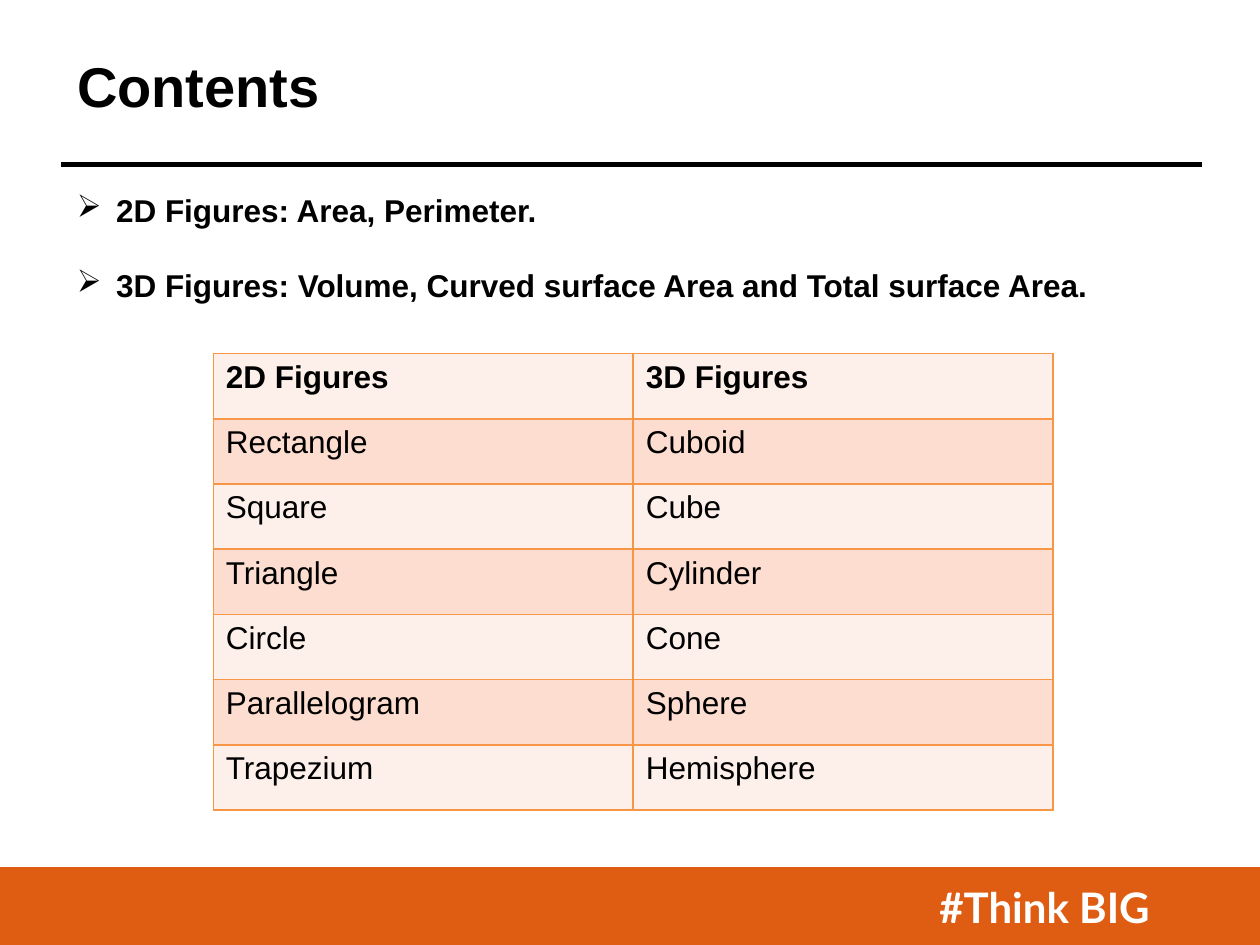
from dataclasses import dataclass

from lxml.etree import SubElement
from pptx import Presentation
from pptx.dml.color import RGBColor
from pptx.enum.shapes import MSO_CONNECTOR, MSO_SHAPE
from pptx.enum.text import MSO_ANCHOR, PP_ALIGN
from pptx.oxml.ns import qn
from pptx.util import Cm, Pt


@dataclass(frozen=True)
class Theme:
    black: str = "000000"
    white: str = "FFFFFF"
    orange: str = "DF5C13"
    border: str = "F79646"
    bands: tuple = ("FDEFE9", "FCDDCF")
    font: str = "Arial"
    footer_font: str = "Lato"
    title_size: int = 32
    footer_size: int = 24
    body_size: int = 18


def rgb(value):
    return RGBColor.from_string(value)


def write(p, text, size, font, color, bold=False, align=PP_ALIGN.LEFT):
    p.alignment = align
    r = p.add_run()
    r.text = text
    r.font.size = Pt(size)
    r.font.name = font
    r.font.bold = bold
    r.font.color.rgb = rgb(color)


class SlideBuilder:
    def __init__(self, prs, theme):
        self.theme = theme
        self.s = prs.slides.add_slide(prs.slide_layouts[5])

    def body(self, p, text, bold=False):
        t = self.theme
        write(p, text, t.body_size, t.font, t.black, bold)

    def title(self, text, x, y, w, h):
        t = self.theme
        sp = self.s.shapes.title
        sp.left, sp.top, sp.width, sp.height = Cm(x), Cm(y), Cm(w), Cm(h)
        tf = sp.text_frame
        tf.vertical_anchor = MSO_ANCHOR.TOP
        write(tf.paragraphs[0], text, t.title_size, t.font, t.black, bold=True)

    def rule(self, x1, x2, y, width):
        line = self.s.shapes.add_connector(
            MSO_CONNECTOR.STRAIGHT, Cm(x1), Cm(y), Cm(x2), Cm(y))
        line.line.color.rgb = rgb(self.theme.black)
        line.line.width = Pt(width)
        SubElement(line._element.spPr, qn("a:effectLst"))

    def footer(self, text, x, y, w, h, right):
        t = self.theme
        sp = self.s.shapes.add_shape(MSO_SHAPE.RECTANGLE, Cm(x), Cm(y), Cm(w), Cm(h))
        sp.shadow.inherit = False
        sp.fill.solid()
        sp.fill.fore_color.rgb = rgb(t.orange)
        sp.line.color.rgb = rgb(t.orange)
        sp.line.width = Pt(2)
        tf = sp.text_frame
        tf.vertical_anchor = MSO_ANCHOR.MIDDLE
        tf.margin_right = Cm(right)
        write(tf.paragraphs[0], text, t.footer_size, t.footer_font, t.white,
              bold=True, align=PP_ALIGN.RIGHT)

    def bullets(self, items, x, y, w, h, gap, indent=0.79):
        tf = self.s.shapes.add_textbox(Cm(x), Cm(y), Cm(w), Cm(h)).text_frame
        tf.word_wrap = True
        for i, text in enumerate(items):
            p = tf.add_paragraph() if i else tf.paragraphs[0]
            if i:
                p.space_before = Pt(gap)
            pPr = p._p.get_or_add_pPr()
            pPr.set("marL", str(Cm(indent)))
            pPr.set("indent", str(-Cm(indent)))
            SubElement(pPr, qn("a:buChar"), char="➢")
            self.body(p, text, bold=True)

    def borders(self, cell):
        tcPr = cell._tc.get_or_add_tcPr()
        for side in ("lnL", "lnR", "lnT", "lnB"):
            ln = SubElement(tcPr, qn(f"a:{side}"), w=str(Pt(1)))
            fill = SubElement(ln, qn("a:solidFill"))
            SubElement(fill, qn("a:srgbClr"), val=self.theme.border)

    def table(self, rows, x, y, w, h):
        bands = self.theme.bands
        table = self.s.shapes.add_table(
            len(rows), len(rows[0]), Cm(x), Cm(y), Cm(w), Cm(h)).table
        for i, row in enumerate(rows):
            for j, text in enumerate(row):
                cell = table.cell(i, j)
                self.borders(cell)
                cell.fill.solid()
                cell.fill.fore_color.rgb = rgb(bands[i % len(bands)])
                self.body(cell.text_frame.paragraphs[0], text, bold=i == 0)


def main():
    prs = Presentation()
    prs.slide_width, prs.slide_height = Cm(25.4), Cm(19.05)
    slide = SlideBuilder(prs, Theme())
    slide.rule(1.23, 24.23, 3.32, width=3)
    slide.footer("#Think BIG", 0, 17.52, 25.4, 1.53, right=2.22)
    slide.bullets([
        "2D Figures: Area, Perimeter.",
        "3D Figures: Volume, Curved surface Area and Total surface Area.",
    ], 1.3, 3.73, 23.6, 2.57, gap=21)
    slide.title("Contents", 1.3, 0.91, 20.4, 1.63)
    slide.table([
        ("2D Figures", "3D Figures"),
        ("Rectangle", "Cuboid"),
        ("Square", "Cube"),
        ("Triangle", "Cylinder"),
        ("Circle", "Cone"),
        ("Parallelogram", "Sphere"),
        ("Trapezium", "Hemisphere"),
    ], 4.3, 7.13, 16.93, 9.2)
    prs.save("out.pptx")


if __name__ == "__main__":
    main()
